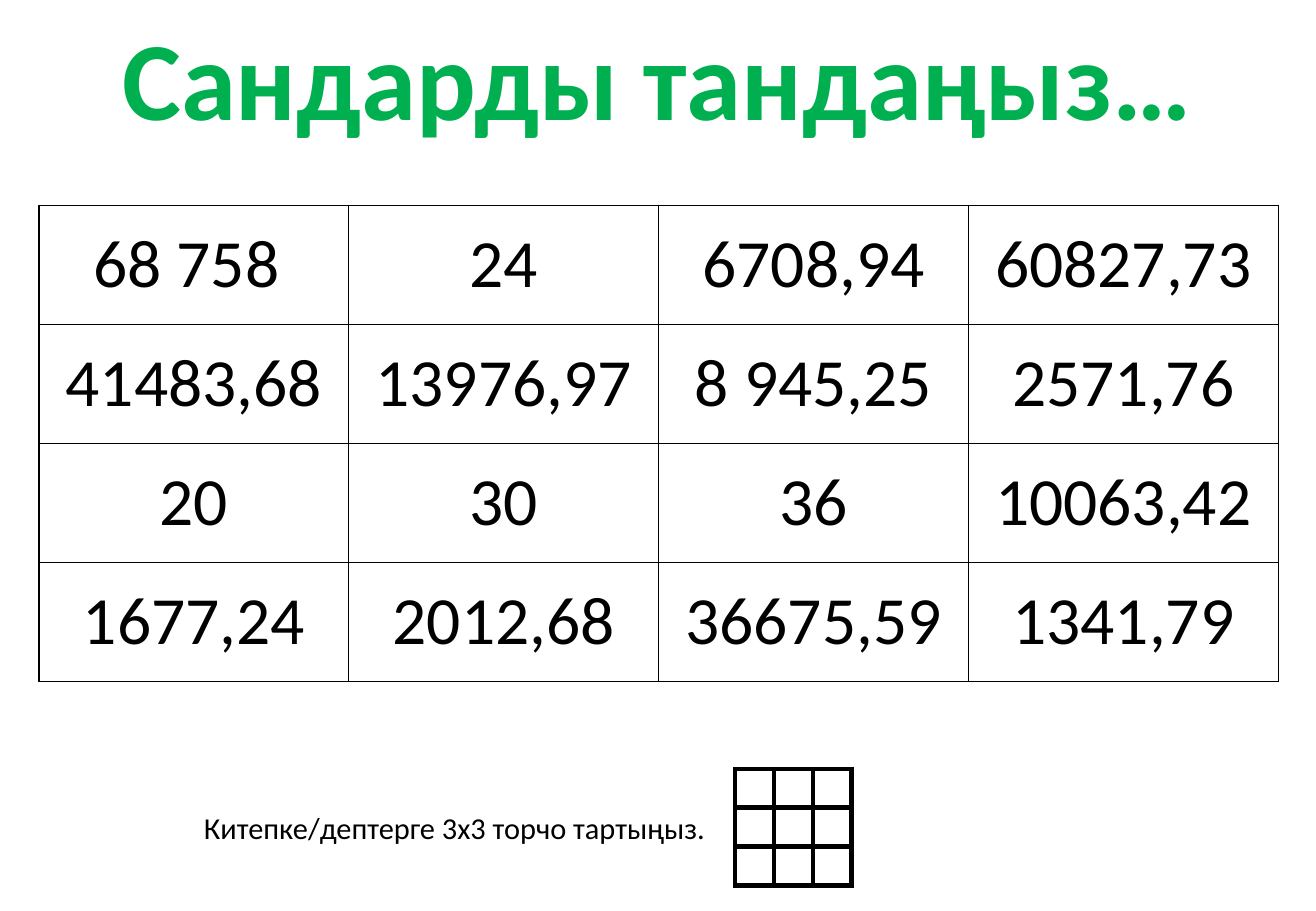
from dataclasses import dataclass

import pptx
import pptx.dml.color
import pptx.enum.text
import pptx.oxml
import pptx.oxml.ns
import pptx.slide
import pptx.table
import pptx.text.text
import pptx.util
from pptx.util import Inches

BLACK = pptx.dml.color.RGBColor(0x00, 0x00, 0x00)
WHITE = pptx.dml.color.RGBColor(0xFF, 0xFF, 0xFF)
GREEN = pptx.dml.color.RGBColor(0x00, 0xB0, 0x50)
FONT = "Calibri"
CENTER = pptx.enum.text.PP_ALIGN.CENTER
LEFT = pptx.enum.text.PP_ALIGN.LEFT
MIDDLE = pptx.enum.text.MSO_ANCHOR.MIDDLE


@dataclass(frozen=True)
class Grid:
    left: float
    top: float
    column_width: float
    row_height: float
    border: float
    rows: list[list[str]]


NUMBERS = Grid(0.32, 1.69, 2.55, 0.98, 1, [
    ["68 758 ", "24", "6708,94", "60827,73"],
    ["41483,68", "13976,97", "8 945,25", "2571,76"],
    ["20", "30", "36", "10063,42"],
    ["1677,24", "2012,68", "36675,59", "1341,79"],
])
SAMPLE = Grid(6.05, 6.33, 0.32, 0.32, 3, [[""] * 3] * 3)


def add_run(paragraph: pptx.text.text._Paragraph, text: str, size: float,
            color: pptx.dml.color.RGBColor, bold: bool = False) -> None:
    run = paragraph.add_run()
    run.text = text
    run.font.name = FONT
    run.font.size = pptx.util.Pt(size)
    run.font.bold = bold
    run.font.color.rgb = color


def set_borders(cell: pptx.table._Cell, width: float) -> None:
    properties = cell._tc.get_or_add_tcPr()
    for index, side in enumerate(("lnL", "lnR", "lnT", "lnB")):
        properties.insert(index, pptx.oxml.parse_xml(
            f'<a:{side} {pptx.oxml.ns.nsdecls("a")} w="{pptx.util.Pt(width)}">'
            f'<a:solidFill><a:srgbClr val="{BLACK}"/></a:solidFill></a:{side}>'))


def add_grid(slide: pptx.slide.Slide, grid: Grid) -> None:
    row_count, column_count = len(grid.rows), len(grid.rows[0])
    table = slide.shapes.add_table(
        row_count, column_count, Inches(grid.left), Inches(grid.top),
        Inches(grid.column_width * column_count),
        Inches(grid.row_height * row_count)).table
    table.first_row = table.horz_banding = False
    for column in table.columns:
        column.width = Inches(grid.column_width)
    for row, values in zip(table.rows, grid.rows):
        row.height = Inches(grid.row_height)
        for cell, value in zip(row.cells, values):
            cell.fill.solid()
            cell.fill.fore_color.rgb = WHITE
            cell.vertical_anchor = MIDDLE
            cell.margin_left = cell.margin_right = 0
            cell.margin_top = cell.margin_bottom = 0
            set_borders(cell, grid.border)
            if value:
                paragraph = cell.text_frame.paragraphs[0]
                paragraph.alignment = CENTER
                add_run(paragraph, value, 40, BLACK)


def main() -> None:
    presentation = pptx.Presentation()
    presentation.slide_width = Inches(10.83)
    presentation.slide_height = Inches(7.5)
    slide = presentation.slides.add_slide(presentation.slide_layouts[5])

    # Heading
    heading = slide.shapes.title
    heading.left, heading.top = Inches(0.79), Inches(0.02)
    heading.width, heading.height = Inches(9.24), Inches(1.21)
    heading.text_frame.word_wrap = False
    heading.text_frame.auto_size = pptx.enum.text.MSO_AUTO_SIZE.NONE
    heading.text_frame.vertical_anchor = MIDDLE
    heading_line = heading.text_frame.paragraphs[0]
    heading_line.alignment = CENTER
    add_run(heading_line, "Сандарды тандаңыз…", 66, GREEN, bold=True)

    # Numbers to choose from, and the empty 3x3 grid to draw
    add_grid(slide, NUMBERS)
    add_grid(slide, SAMPLE)

    # Instruction
    instruction = slide.shapes.add_textbox(
        Inches(1.58), Inches(6.61), Inches(4.38), Inches(0.4))
    instruction.text_frame.word_wrap = False
    instruction_line = instruction.text_frame.paragraphs[0]
    instruction_line.alignment = LEFT
    add_run(instruction_line, "Китепке/дептерге 3х3 торчо тартыңыз.", 18, BLACK)

    presentation.save("out.pptx")


if __name__ == "__main__":
    main()
